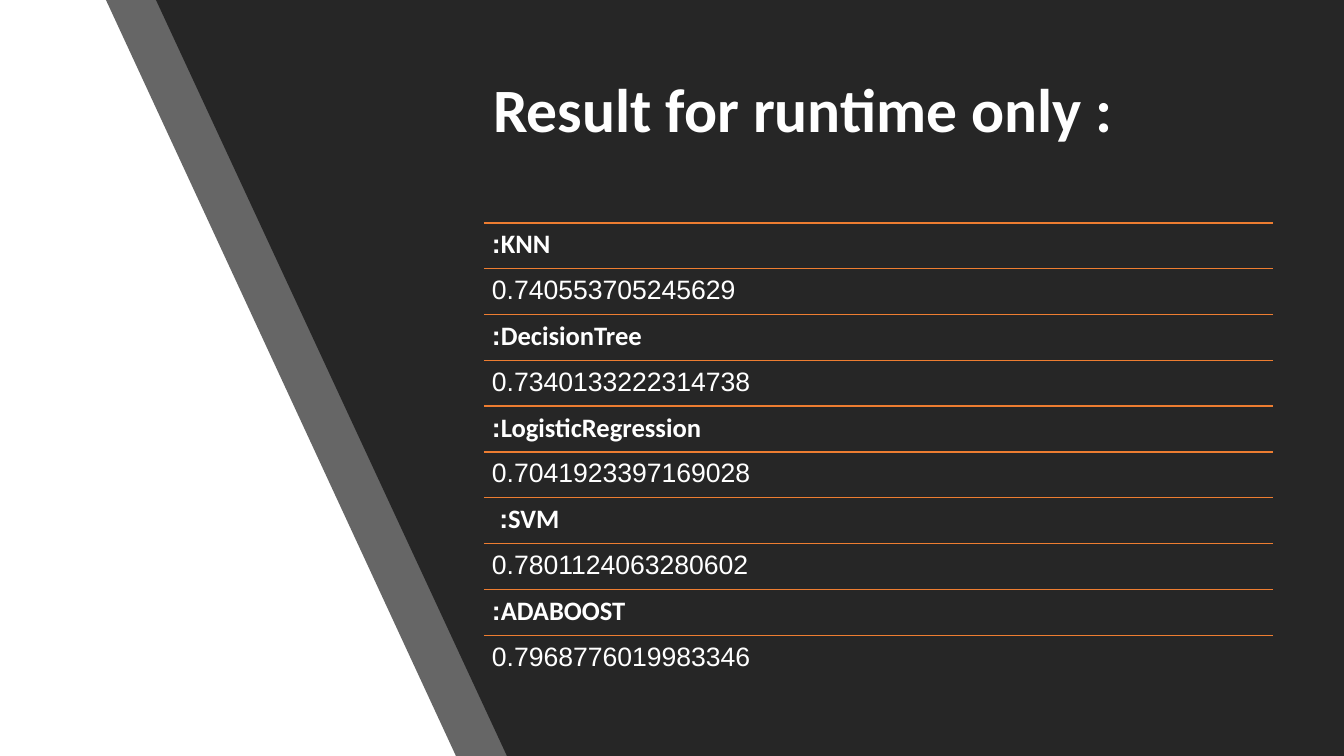
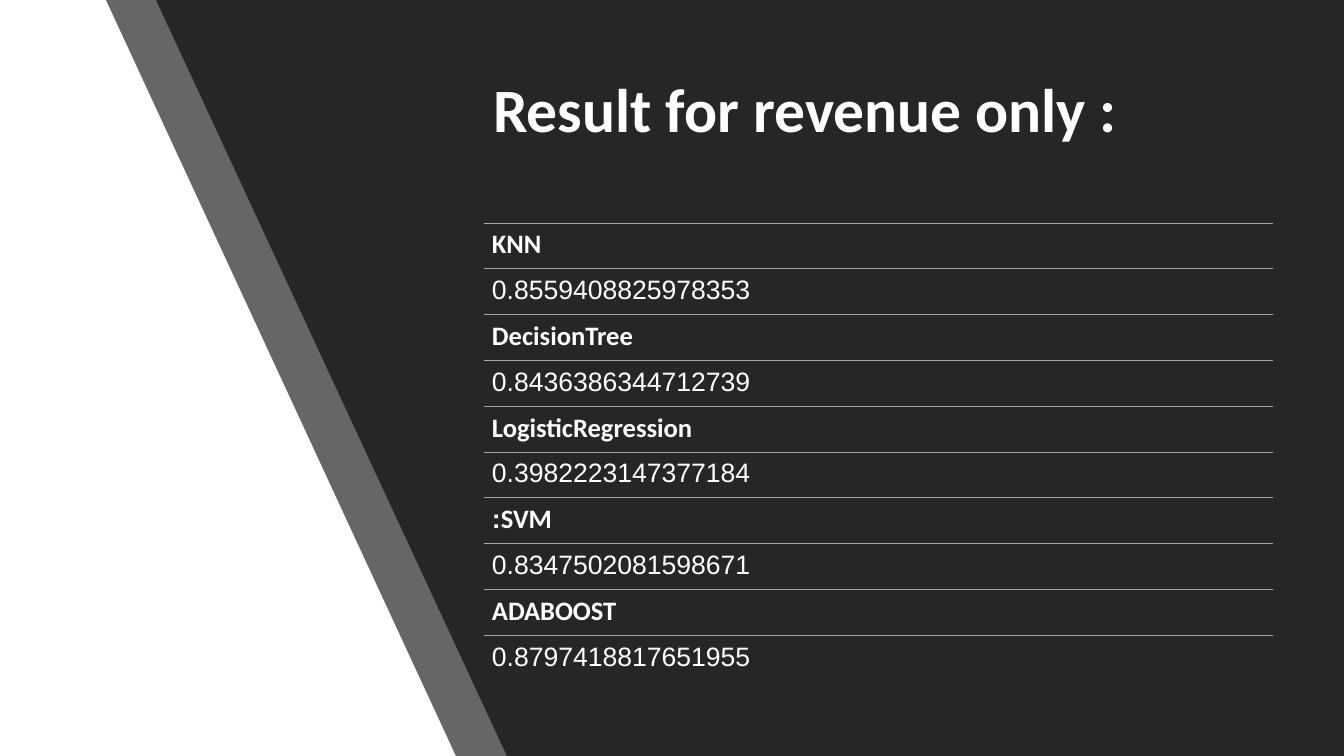
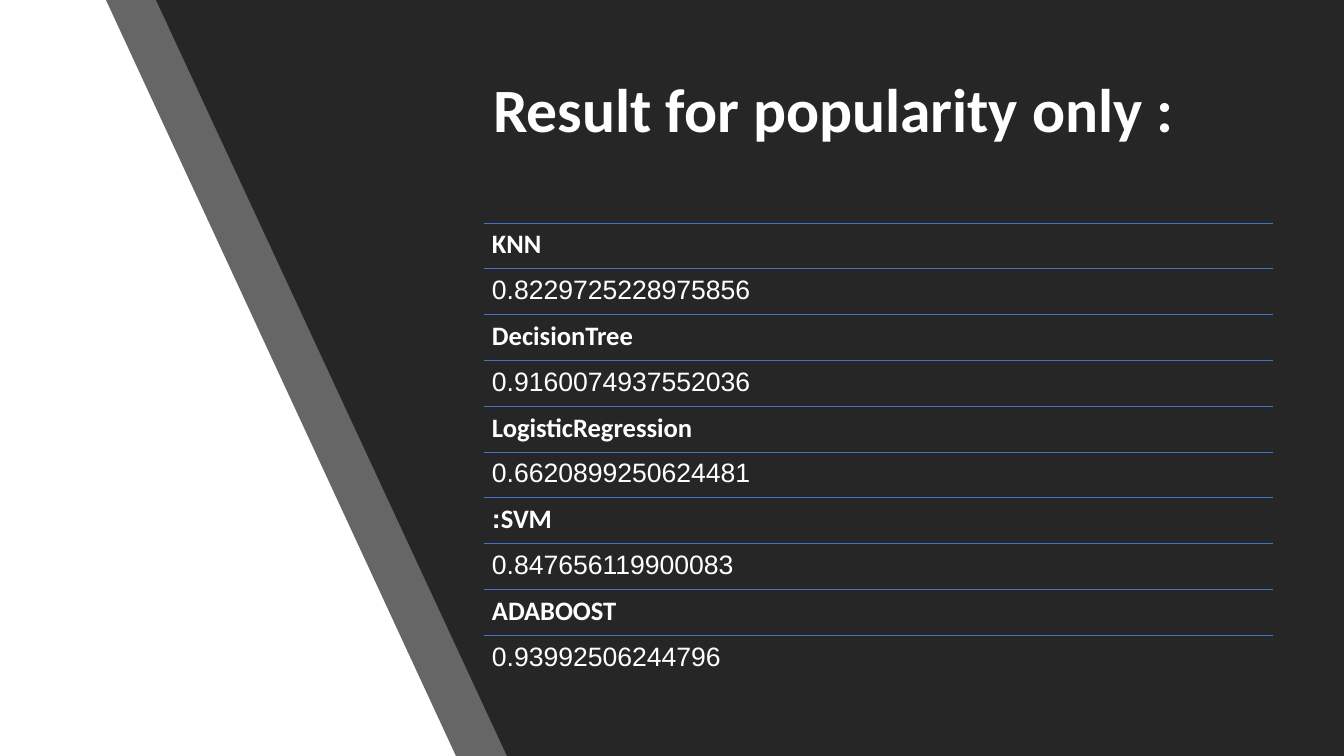
"""Build three slides listing classifier results for runtime, revenue and popularity."""
from lxml.etree import SubElement
from pptx import Presentation
from pptx.dml.color import RGBColor
from pptx.enum.shapes import MSO_CONNECTOR as CONN, MSO_SHAPE as SHAPE
from pptx.enum.text import MSO_ANCHOR as ANCHOR, MSO_AUTO_SIZE as AUTO, PP_ALIGN as ALIGN
from pptx.oxml.ns import qn
from pptx.util import Pt

WHITE = RGBColor(0xFF, 0xFF, 0xFF)
BLACK = RGBColor(0x00, 0x00, 0x00)
DARK = RGBColor(0x26, 0x26, 0x26)
ORANGE = RGBColor(0xED, 0x7D, 0x31)
GREY = RGBColor(0xA5, 0xA5, 0xA5)
BLUE = RGBColor(0x44, 0x72, 0xC4)
FONT, DIGIT_FONT = "Calibri", "Arial"

SLIDES = [
    ("Result for runtime only :", ORANGE, 1, [
        ("KNN:", "0.740553705245629"),
        ("DecisionTree:", "0.7340133222314738"),
        ("LogisticRegression:", "0.7041923397169028"),
        ("SVM: ", "0.7801124063280602"),
        ("ADABOOST:", "0.7968776019983346"),
    ]),
    ("Result for revenue only :", GREY, 0.5, [
        ("KNN", "0.8559408825978353"),
        ("DecisionTree", "0.8436386344712739"),
        ("LogisticRegression", "0.3982223147377184"),
        ("SVM:", "0.8347502081598671"),
        ("ADABOOST", "0.8797418817651955"),
    ]),
    ("Result for popularity only :", BLUE, 0.5, [
        ("KNN", "0.8229725228975856"),
        ("DecisionTree", "0.9160074937552036"),
        ("LogisticRegression", "0.6620899250624481"),
        ("SVM:", "0.847656119900083"),
        ("ADABOOST", "0.93992506244796"),
    ]),
]

SCALE = 914400 / 100.8
SLIDE_W, SLIDE_H = 1344, 756
TITLE_BOX = (483, 40, 790, 146)
LIST_X, LIST_Y, LIST_W, LIST_H = 484, 223, 789, 458
INSET = 8
PANELS = [(106, 456, 70), (156, 507, 100)]


def px(n):
    return round(n * SCALE)


def write(tf, text, size, bold=False, rtl=False):
    tf.word_wrap = True
    tf.auto_size = AUTO.NONE
    p = tf.paragraphs[0]
    p.alignment = ALIGN.LEFT
    p.line_spacing = 0.9
    p.space_after = Pt(6)
    r = p.add_run()
    r.text = text
    r.font.name, r.font.size, r.font.bold = FONT, Pt(size), bold
    r.font.color.rgb = WHITE
    if rtl:
        p._p.get_or_add_pPr().set("rtl", "1")
        SubElement(r._r.get_or_add_rPr(), qn("a:cs")).set("typeface", DIGIT_FONT)


def paint(sp, color, opacity=100):
    sp.shadow.inherit = False
    sp.fill.solid()
    sp.fill.fore_color.rgb = color
    sp.line.fill.background()
    if opacity < 100:
        clr = sp._element.spPr.find(qn("a:solidFill")).find(qn("a:srgbClr"))
        SubElement(clr, qn("a:alpha")).set("val", str(opacity * 1000))


def add_backdrop(s):
    s.background.fill.solid()
    s.background.fill.fore_color.rgb = BLACK
    paint(s.shapes.add_shape(SHAPE.RECTANGLE, 0, 0, px(SLIDE_W), px(SLIDE_H)), WHITE)
    for top_x, bottom_x, opacity in PANELS:
        fb = s.shapes.build_freeform(SLIDE_W, SLIDE_H, scale=SCALE)
        fb.add_line_segments([(bottom_x, SLIDE_H), (top_x, 0), (SLIDE_W, 0)], close=True)
        paint(fb.convert_to_shape(), DARK, opacity)


def add_title(s, text):
    title = s.shapes.title
    title.left, title.top, title.width, title.height = map(px, TITLE_BOX)
    title.text_frame.vertical_anchor = ANCHOR.MIDDLE
    write(title.text_frame, text, 44, bold=True)
    s.shapes._spTree.append(title._element)


def add_results(s, results, color, weight):
    rows = [(text, i == 0) for pair in results for i, text in enumerate(pair)]
    row_h = LIST_H / len(rows)
    shapes = s.shapes.add_group_shape().shapes
    for i, (text, is_name) in enumerate(rows):
        y = px(LIST_Y + i * row_h)
        rule = shapes.add_connector(CONN.STRAIGHT, px(LIST_X), y, px(LIST_X + LIST_W), y)
        rule.line.color.rgb, rule.line.width = color, Pt(weight)
        SubElement(rule._element.spPr, qn("a:effectLst"))
        tf = shapes.add_textbox(px(LIST_X), y, px(LIST_W), px(row_h)).text_frame
        tf.margin_left = tf.margin_right = tf.margin_top = tf.margin_bottom = px(INSET)
        write(tf, text, 19, bold=is_name, rtl=True)


def main():
    prs = Presentation()
    prs.slide_width, prs.slide_height = px(SLIDE_W), px(SLIDE_H)
    for title, color, weight, results in SLIDES:
        s = prs.slides.add_slide(prs.slide_layouts[5])
        add_backdrop(s)
        add_title(s, title)
        add_results(s, results, color, weight)
    prs.save("out.pptx")


if __name__ == "__main__":
    main()
